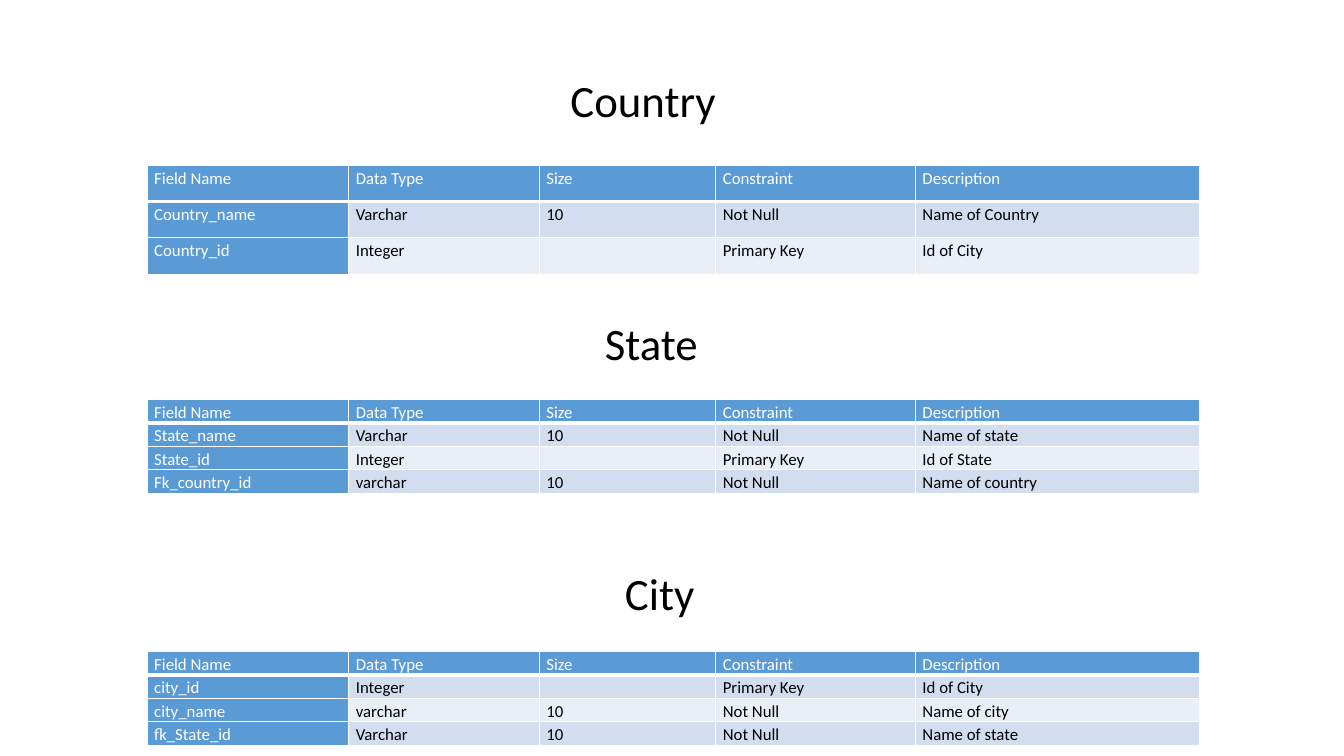
from lxml import etree
from pptx import Presentation
from pptx.dml.color import RGBColor
from pptx.enum.text import MSO_ANCHOR, PP_ALIGN
from pptx.oxml.ns import qn
from pptx.util import Inches, Pt

# Content
HEADER = ("Field Name", "Data Type", "Size", "Constraint", "Description")
TABLES = [  # top, row height, rows
    (6.46, 0.23, [
        ("city_id", "Integer", "", "Primary Key", "Id of City"),
        ("city_name", "varchar", "10", "Not Null", "Name of city"),
        ("fk_State_id", "Varchar", "10", "Not Null", "Name of state"),
    ]),
    (3.96, 0.23, [
        ("State_name", "Varchar", "10", "Not Null", "Name of state"),
        ("State_id", "Integer", "", "Primary Key", "Id of State"),
        ("Fk_country_id", "varchar", "10", "Not Null", "Name of country"),
    ]),
    (1.64, 0.36, [
        ("Country_name", "Varchar", "10", "Not Null", "Name of Country"),
        ("Country_id", "Integer", "", "Primary Key", "Id of City"),
    ]),
]
TITLES = [  # text, left, top, width, anchor, alignment, line spacing
    ("Country", 1.38, 0.67, 10, MSO_ANCHOR.BOTTOM, PP_ALIGN.CENTER, 0.9),
    ("State", 1.46, 3.14, 10, MSO_ANCHOR.TOP, PP_ALIGN.CENTER, 0.9),
    ("City", 6.1, 5.56, 2.06, MSO_ANCHOR.TOP, PP_ALIGN.LEFT, 1.0),
]
TITLE_H = 0.64
TABLE_LEFT = 1.46
COL_WIDTHS = (2, 1.89, 1.75, 1.98, 2.82)
FONT = "Calibri"
COLORS = {"head": "5B9BD5", "odd": "D2DEEF", "even": "EAEFF7",
          "light": "FFFFFF", "dark": "000000"}


def rgb(name):
    return RGBColor.from_string(COLORS[name])


def style_run(r, size, color):
    r.font.size = Pt(size)
    r.font.name = FONT
    r.font.color.rgb = rgb(color)


def set_borders(cell, bottom):
    tcPr = cell._tc.get_or_add_tcPr()
    for side, width in (("L", 1), ("R", 1), ("T", 1), ("B", bottom)):
        ln = etree.SubElement(tcPr, qn(f"a:ln{side}"), w=str(Pt(width)))
        fill = etree.SubElement(ln, qn("a:solidFill"))
        etree.SubElement(fill, qn("a:srgbClr"), val=COLORS["light"])


def fill_cell(cell, text, row, col):
    is_head = row == 0 or col == 0
    set_borders(cell, 3 if row == 0 else 1)
    cell.fill.solid()
    cell.fill.fore_color.rgb = rgb("head" if is_head else "odd" if row % 2 else "even")
    cell.margin_left = cell.margin_right = Inches(0.07)
    cell.margin_top = cell.margin_bottom = 0
    p = cell.text_frame.paragraphs[0]
    p.line_spacing = 1.15
    p.space_after = Pt(10)
    if text:
        p.text = text
        style_run(p.runs[0], 12, "light" if is_head else "dark")
    else:  # keeps an empty cell from stretching its row
        etree.SubElement(p._p, qn("a:endParaRPr"), sz="1200")


prs = Presentation()
prs.slide_width, prs.slide_height = Inches(13.33), Inches(7.5)
s = prs.slides.add_slide(prs.slide_layouts[6])

# Field tables
for top, row_h, body in TABLES:
    rows = [HEADER] + body
    table = s.shapes.add_table(
        len(rows), len(HEADER), Inches(TABLE_LEFT), Inches(top),
        Inches(sum(COL_WIDTHS)), Inches(row_h * len(rows))).table
    table.first_col = True
    for column, width in zip(table.columns, COL_WIDTHS):
        column.width = Inches(width)
    for i, values in enumerate(rows):
        table.rows[i].height = Inches(row_h)
        for j, text in enumerate(values):
            fill_cell(table.cell(i, j), text, i, j)

# Table titles
for text, left, top, width, anchor, align, spacing in TITLES:
    sp = s.shapes.add_textbox(Inches(left), Inches(top), Inches(width), Inches(TITLE_H))
    tf = sp.text_frame
    tf.word_wrap = True
    tf.vertical_anchor = anchor
    tf.text = text
    p = tf.paragraphs[0]
    p.alignment = align
    p.line_spacing = spacing
    style_run(p.runs[0], 32, "dark")

prs.save("out.pptx")
